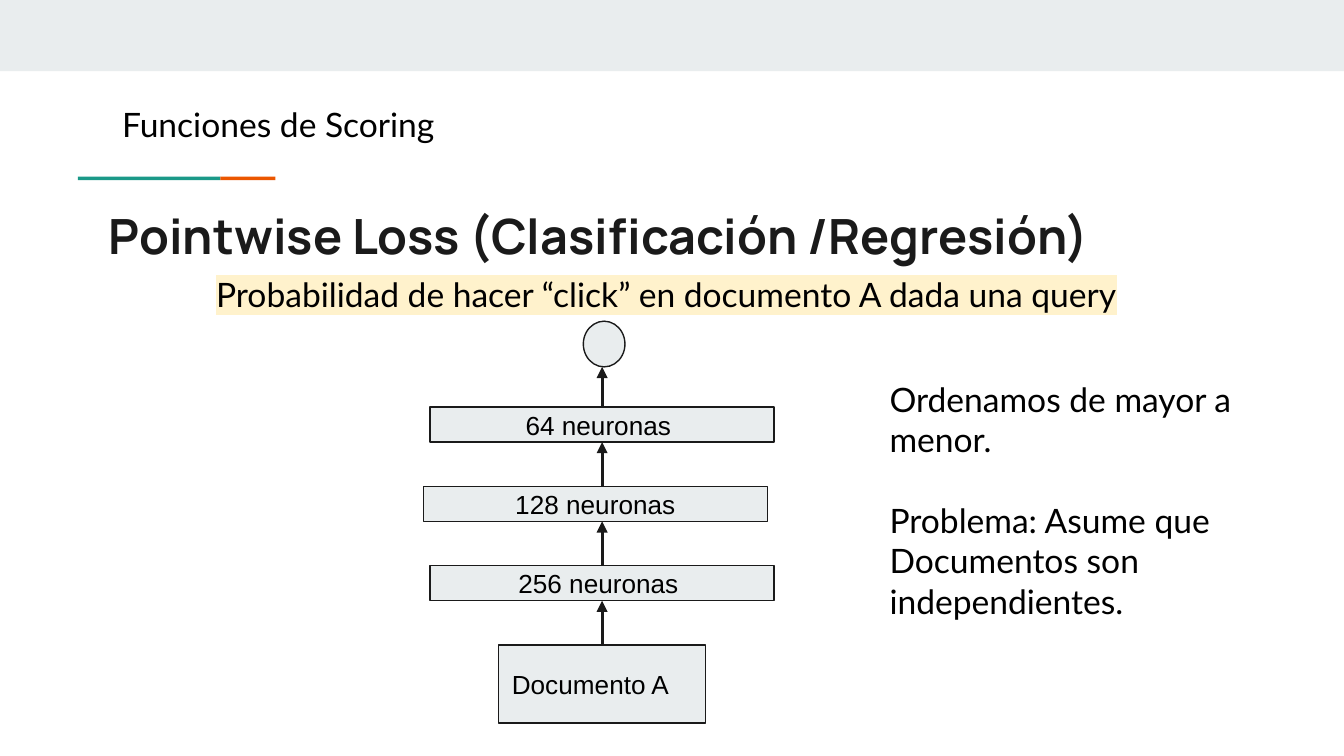
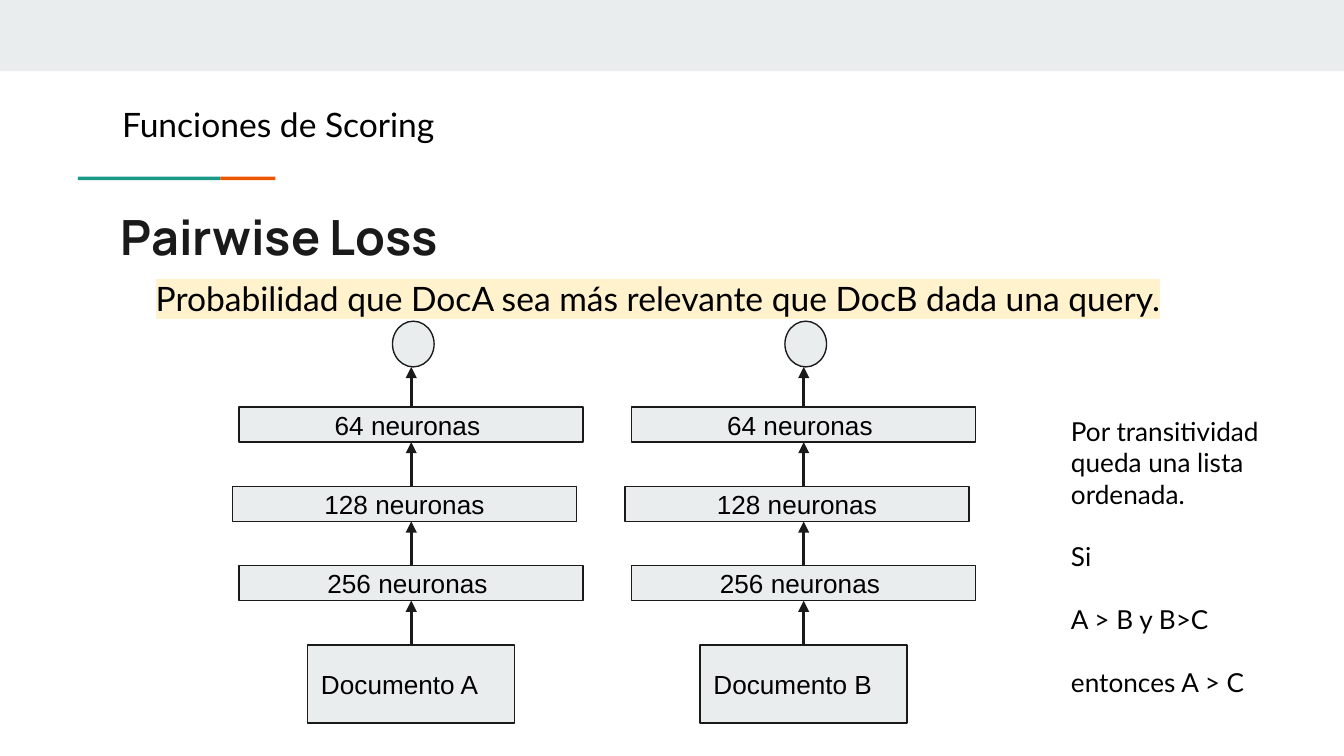
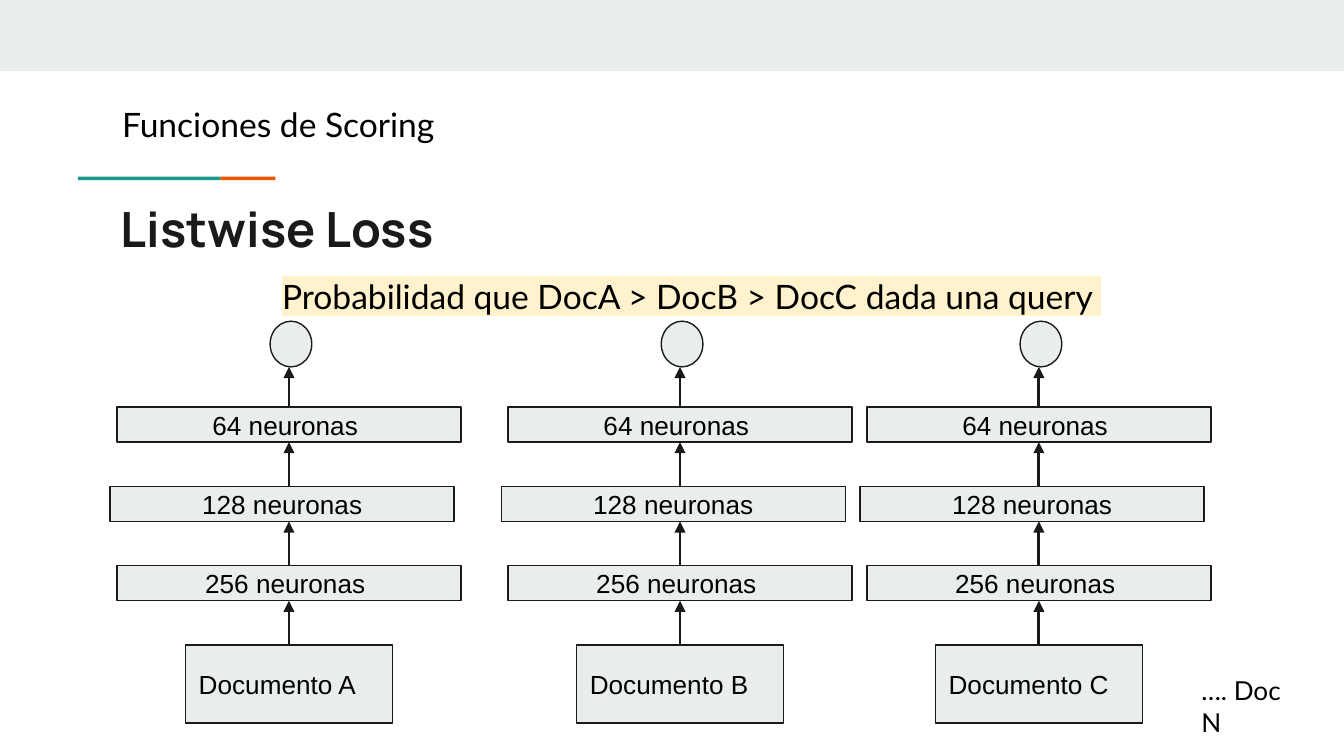
import pptx
import pptx.dml.color
import pptx.enum.shapes
import pptx.enum.text
import pptx.oxml
import pptx.oxml.ns
import pptx.util

SCALE = 4572
INK, BLACK, MIST, CREAM = "1A1A1A", "000000", "E9EDEE", "FFF2CC"
TEAL, ORANGE = "1A9988", "EB5600"
RECTANGLE = pptx.enum.shapes.MSO_SHAPE.RECTANGLE
OVAL = pptx.enum.shapes.MSO_SHAPE.OVAL
LEFT = pptx.enum.text.PP_ALIGN.LEFT
CENTER = pptx.enum.text.PP_ALIGN.CENTER
TOP = pptx.enum.text.MSO_ANCHOR.TOP
MIDDLE = pptx.enum.text.MSO_ANCHOR.MIDDLE
LAYERS = [("256 neuronas ", 842, 0), ("128 neuronas", 724, -10), ("64 neuronas ", 606, 0)]


def color(code):
    return pptx.dml.color.RGBColor.from_string(code)


def px(*lengths):
    return [length * SCALE for length in lengths]


def element(tag, **attributes):
    node = pptx.oxml.parse_xml(f"<{tag} {pptx.oxml.ns.nsdecls('a')}/>")
    for name, value in attributes.items():
        node.set(name, value)
    return node


class Slides:
    """Draw scoring-network slides in one shared style."""

    def __init__(self):
        self.deck = pptx.Presentation()
        self.deck.slide_width, self.deck.slide_height = px(2000, 1125)
        self.layout = self.deck.slide_layouts[5]
        self.page = None

    def start(self, title, place):
        first = self.page is None
        self.page = self.deck.slides.add_slide(self.layout)
        if first:
            self.decorate()
        box = self.page.shapes.title
        box.left, box.top, box.width, box.height = px(*place)
        self.format_text(box, [title], 26, "Manrope", INK, bold=True)

    def decorate(self):
        bars = [(0, 0, 2000, 106, MIST), (116, 263, 212, 5, TEAL), (328, 263, 82, 5, ORANGE)]
        for index, (*place, fill) in enumerate(bars, 2):
            bar = self.shape(RECTANGLE, place, fill)
            self.layout.shapes.element.insert(index, bar.element)

    def format_text(self, box, lines, size, font, ink=BLACK, align=LEFT, anchor=TOP, bold=False, gap=0):
        frame = box.text_frame
        frame.text = "\n".join(lines)
        frame.word_wrap = True
        frame.auto_size = pptx.enum.text.MSO_AUTO_SIZE.NONE
        frame.vertical_anchor = anchor
        inset = px(20)[0]
        frame.margin_left = frame.margin_top = frame.margin_right = frame.margin_bottom = inset
        for index, para in enumerate(frame.paragraphs):
            para.alignment = align
            para.space_before = pptx.util.Pt(gap if index else 0)
            for span in para.runs:
                span.font.size = pptx.util.Pt(size)
                span.font.name = font
                span.font.bold = bold
                span.font.color.rgb = color(ink)

    def text(self, lines, place, size=18, gap=0):
        box = self.page.shapes.add_textbox(*px(*place))
        self.format_text(box, lines, size, "Lato", gap=gap)
        return box

    def highlight(self, line, place):
        box = self.text([line], place)
        mark = element("a:highlight")
        mark.append(element("a:srgbClr", val=CREAM))
        latin = box.element.find(".//" + pptx.oxml.ns.qn("a:latin"))
        latin.addprevious(mark)

    def shape(self, kind, place, fill, outline=None):
        shape = self.page.shapes.add_shape(kind, *px(*place))
        shape.shadow.inherit = False
        shape.fill.solid()
        shape.fill.fore_color.rgb = color(fill)
        if outline:
            shape.line.color.rgb = color(outline)
            shape.line.width = pptx.util.Pt(0.75)
        else:
            shape.line.fill.background()
        return shape

    def block(self, label, place, align):
        block = self.shape(RECTANGLE, place, MIST, INK)
        self.format_text(block, [label], 14, "Arial", align=align, anchor=MIDDLE)
        return block

    def arrow(self, axis, lower, upper):
        x = px(axis)[0]
        arrow = self.page.shapes.add_connector(
            pptx.enum.shapes.MSO_CONNECTOR.STRAIGHT, x, lower.top, x, upper.top + upper.height)
        if lower.left + lower.width // 2 == x:
            arrow.begin_connect(lower, 0)
        if upper.left + upper.width // 2 == x:
            arrow.end_connect(upper, 2)
        arrow.line.color.rgb = color(INK)
        arrow.line.width = pptx.util.Pt(1.5)
        properties = arrow.element.spPr
        properties.find(pptx.oxml.ns.qn("a:ln")).append(element("a:tailEnd", type="triangle"))
        properties.append(element("a:effectLst"))

    def network(self, axis, document):
        stages = [self.block(document, (axis - 154, 960, 308, 116), LEFT)]
        for label, top, shift in LAYERS:
            stages.append(self.block(label, (axis - 256 + shift, top, 512, 52), CENTER))
        stages.append(self.shape(OVAL, (axis - 28, 478, 62, 68), MIST, INK))
        for lower, upper in zip(stages, stages[1:]):
            self.arrow(axis, lower, upper)

    def loss(self, title, title_place, axes, claim, claim_place, note, note_place, size, gap=0):
        self.start(title, title_place)
        for axis, letter in zip(axes, "ABC"):
            self.network(axis, f"Documento {letter}")
        self.highlight(claim, claim_place)
        self.text(note, note_place, size, gap)
        self.text(["Funciones de Scoring"], (162, 134, 580, 88))


def main():
    slides = Slides()
    slides.loss(
        "Pointwise Loss (Clasificación /Regresión)", (142, 286, 1508, 118), [896],
        "Probabilidad de hacer “click” en documento A dada una query", (302, 388, 1394, 52),
        ["Ordenamos de mayor a menor.", "Problema: Asume que Documentos son independientes."],
        (1304, 544, 550, 458), 18, 21.6)
    slides.loss(
        "Pairwise Loss", (160, 288, 1682, 118), [612, 1196],
        "Probabilidad que DocA sea más relevante que DocB dada una query.", (212, 394, 1576, 52),
        ["Por transitividad queda una lista ordenada.", "Si", "A > B y B>C", "entonces A > C"],
        (1574, 598, 390, 498), 14, 16.8)
    slides.loss(
        "Listwise Loss", (160, 276, 1682, 118), [430, 1012, 1546],
        "Probabilidad que DocA > DocB > DocC dada una query ", (400, 390, 1298, 52),
        ["…. Doc N"], (1768, 984, 192, 128), 14)
    slides.deck.save("out.pptx")


if __name__ == "__main__":
    main()
